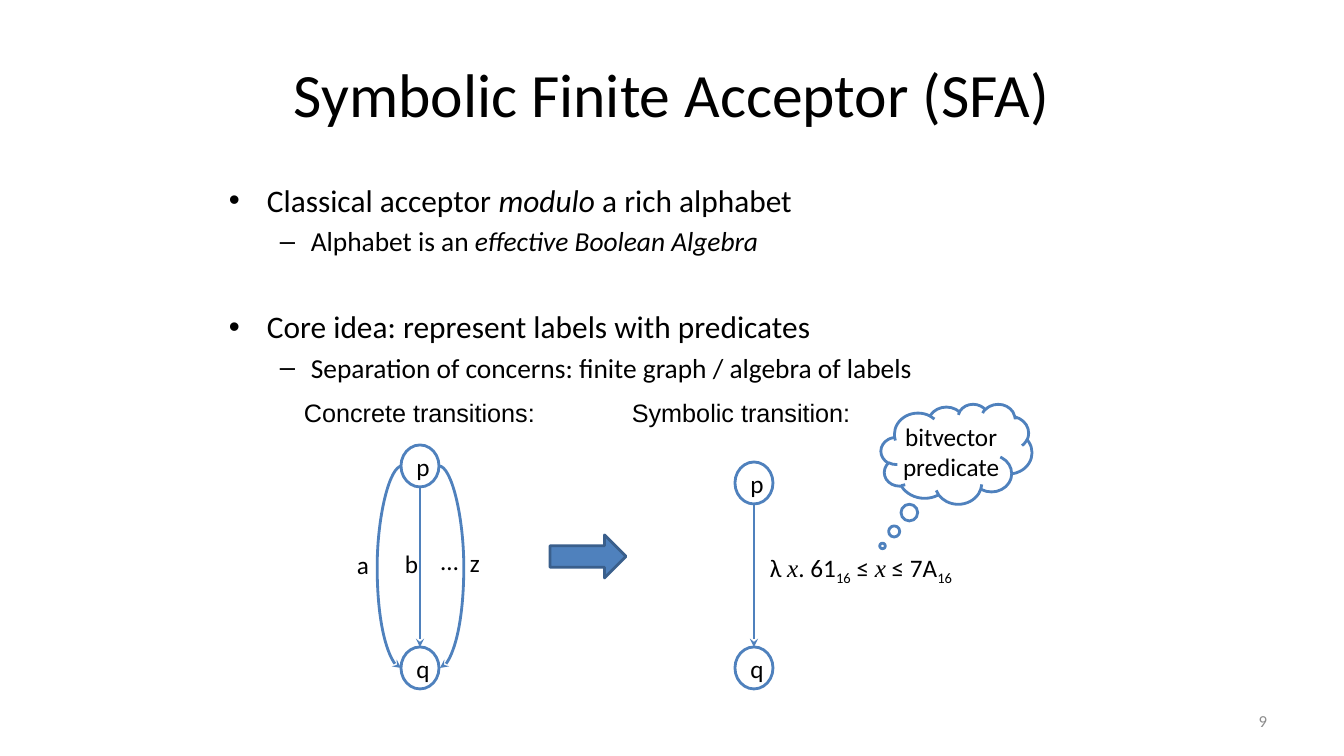
import pptx
import pptx.dml.color
import pptx.enum.shapes
import pptx.enum.text
import pptx.oxml.ns
import pptx.util
import lxml.etree

SCALE = 914400 / 100.8
COLORS = {"text": "000000", "white": "FFFFFF", "blue": "4F81BD",
          "dark_blue": "3A5F8C", "gray": "8C8C8C"}
SHAPES = pptx.enum.shapes.MSO_SHAPE
ALIGN = pptx.enum.text.PP_ALIGN
ANCHOR = pptx.enum.text.MSO_ANCHOR
NODE_WIDTH, NODE_HEIGHT = 38, 42


def emu(pixels):
    """Turn pixels into EMU."""
    return pptx.util.Emu(round(pixels * SCALE))


def rgb(name):
    """Look up a named colour."""
    return pptx.dml.color.RGBColor.from_string(COLORS[name])


def add_run(paragraph, text, size=18, font="Calibri", color="text", italic=False, baseline=0):
    """Append one formatted run to a paragraph."""
    run = paragraph.add_run()
    run.text = text
    run.font.size = pptx.util.Pt(size)
    run.font.name = font
    run.font.italic = italic
    run.font.color.rgb = rgb(color)
    if baseline:
        run._r.get_or_add_rPr().set("baseline", str(baseline * 1000))


def add_text(slide, box, text="", align=ALIGN.LEFT, anchor=ANCHOR.TOP, **style):
    """Add a wrapping text box and return its text frame."""
    frame = slide.shapes.add_textbox(*map(emu, box)).text_frame
    frame.word_wrap = True
    frame.vertical_anchor = anchor
    frame.paragraphs[0].alignment = align
    if text:
        add_run(frame.paragraphs[0], text, **style)
    return frame


def add_outlined(slide, kind, box, text="", fill="white", line="blue"):
    """Add a filled preset shape with a centred label."""
    shape = slide.shapes.add_shape(kind, *map(emu, box))
    shape.shadow.inherit = False
    shape.fill.solid()
    shape.fill.fore_color.rgb = rgb(fill)
    shape.line.color.rgb = rgb(line)
    shape.line.width = pptx.util.Pt(2)
    if text:
        frame = shape.text_frame
        frame.word_wrap = True
        frame.vertical_anchor = ANCHOR.MIDDLE
        frame.paragraphs[0].alignment = ALIGN.CENTER
        add_run(frame.paragraphs[0], text)
    return shape


def add_node(slide, left, top, name):
    """Add one automaton state."""
    add_outlined(slide, SHAPES.OVAL, (left, top, NODE_WIDTH, NODE_HEIGHT), name)


def add_transition(slide, start, end, bend=0):
    """Add an arrow between states, bulging by a multiple of its width."""
    kinds = pptx.enum.shapes.MSO_CONNECTOR
    kind = kinds.CURVE if bend else kinds.STRAIGHT
    connector = slide.shapes.add_connector(kind, *map(emu, start + end))
    connector.line.color.rgb = rgb("blue")
    connector.line.width = pptx.util.Pt(2)
    qn = pptx.oxml.ns.qn
    properties = connector._element.spPr
    lxml.etree.SubElement(properties.find(qn("a:ln")), qn("a:tailEnd"), type="stealth")
    lxml.etree.SubElement(properties, qn("a:effectLst"))
    if bend:
        guides = properties.find(qn("a:prstGeom")).get_or_add_avLst()
        lxml.etree.SubElement(guides, qn("a:gd"), name="adj1", fmla=f"val {bend * 100000}")


def add_bullets(slide, box):
    """Add the two-level bullet list."""
    items = [
        (0, 4.5, [("Classical acceptor ", False), ("modulo ", True), ("a rich alphabet", False)]),
        (1, 4, [("Alphabet is an ", False), ("effective Boolean Algebra", True)]),
        (0, 36, [("Core idea: represent labels with predicates", False)]),
        (1, 4, [("Separation of concerns: finite graph / algebra of labels", False)]),
    ]
    levels = [("•", 22.4, 38, 38), ("–", 19.6, 82, 31)]
    frame = add_text(slide, box)
    for index, (level, space, runs) in enumerate(items):
        paragraph = frame.add_paragraph() if index else frame.paragraphs[0]
        mark, size, margin, hanging = levels[level]
        paragraph.level = level
        paragraph.space_before = pptx.util.Pt(space)
        properties = paragraph._p.get_or_add_pPr()
        properties.set("marL", str(emu(margin)))
        properties.set("indent", str(emu(-hanging)))
        qn = pptx.oxml.ns.qn
        lxml.etree.SubElement(properties, qn("a:buFont"), typeface="Arial")
        lxml.etree.SubElement(properties, qn("a:buChar"), char=mark)
        for text, italic in runs:
            add_run(paragraph, text, size, italic=italic)


def add_concrete(slide, box):
    """Add the automaton with one arrow per letter."""
    left, top, width, height = box
    add_text(slide, (left, top, width, 40), "Concrete transitions:", font="Arial")
    node_left, upper, lower = left + 107, top + 53, top + height - NODE_HEIGHT
    node_right, center = node_left + NODE_WIDTH, node_left + NODE_WIDTH // 2
    middle = NODE_HEIGHT // 2
    add_node(slide, node_left, upper, "p")
    add_node(slide, node_left, lower, "q")
    for start, end in [(node_left + 1, node_left), (node_right, node_right + 1)]:
        add_transition(slide, (start, upper + middle), (end, lower + middle), bend=25)
    add_transition(slide, (center, upper + NODE_HEIGHT), (center, lower))
    for text, x, y in [("a", 53, 152), ("b", 101, 151), ("…", 137, 148), ("z", 166, 150)]:
        add_text(slide, (left + x, top + y, 40, 40), text)


def add_symbolic(slide, box):
    """Add the automaton with a single predicate arrow and its callout."""
    left, top, width, height = box
    add_text(slide, (left, top, 260, 40), "Symbolic transition:", font="Arial")
    node_left, upper, lower = left + 113, top + 70, top + height - NODE_HEIGHT
    center = node_left + NODE_WIDTH // 2
    add_node(slide, node_left, upper, "p")
    add_node(slide, node_left, lower, "q")
    add_transition(slide, (center, upper + NODE_HEIGHT), (center, lower))
    paragraph = add_text(slide, (left + 138, top + 155, 220, 40)).paragraphs[0]
    variable = {"font": "Times New Roman", "italic": True}
    subscript = {"baseline": -25}
    for text, style in [("λ ", {}), ("x", variable), (". 61", {}), ("16", subscript),
                        (" ≤ ", {}), ("x", variable), (" ≤ 7A", {}), ("16", subscript)]:
        add_run(paragraph, text, **style)
    cloud = add_outlined(slide, SHAPES.CLOUD_CALLOUT,
                         (left + width - 151, top + 12, 151, 100), "bitvector predicate")
    cloud.adjustments[0], cloud.adjustments[1] = -0.49, 0.92
    frame = cloud.text_frame
    frame.margin_left = frame.margin_right = frame.margin_top = frame.margin_bottom = 0


def build_slide(presentation):
    """Lay out the whole slide."""
    slide = presentation.slides.add_slide(presentation.slide_layouts[6])
    add_text(slide, (67, 30, 1210, 126), "Symbolic Finite Acceptor (SFA)",
             ALIGN.CENTER, ANCHOR.MIDDLE, size=44)
    add_bullets(slide, (219, 176, 941, 185))
    add_concrete(slide, (294, 392, 260, 297))
    add_outlined(slide, SHAPES.RIGHT_ARROW, (550, 535, 76, 43), fill="blue", line="dark_blue")
    add_symbolic(slide, (622, 392, 410, 297))
    add_text(slide, (964, 701, 313, 40), "9", ALIGN.RIGHT, ANCHOR.MIDDLE, size=12, color="gray")


presentation = pptx.Presentation()
presentation.slide_width, presentation.slide_height = emu(1344), emu(756)
build_slide(presentation)
presentation.save("out.pptx")
